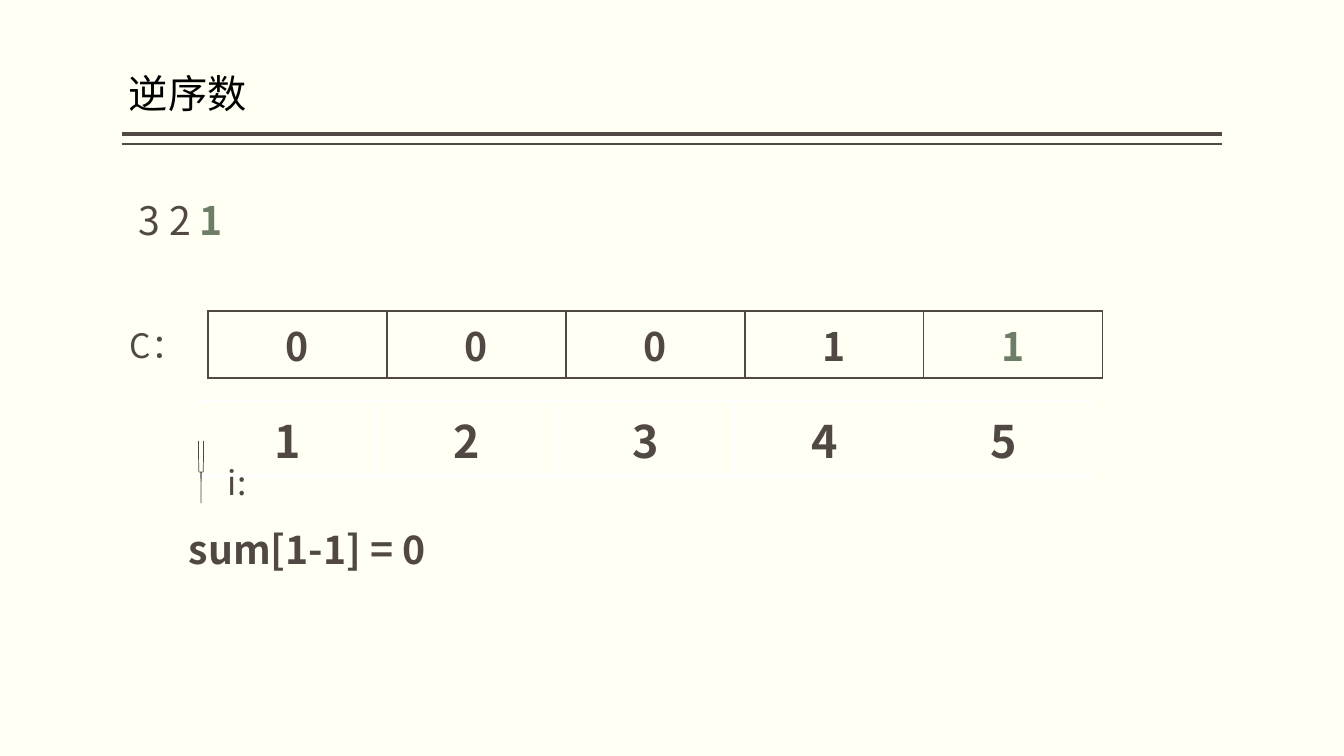
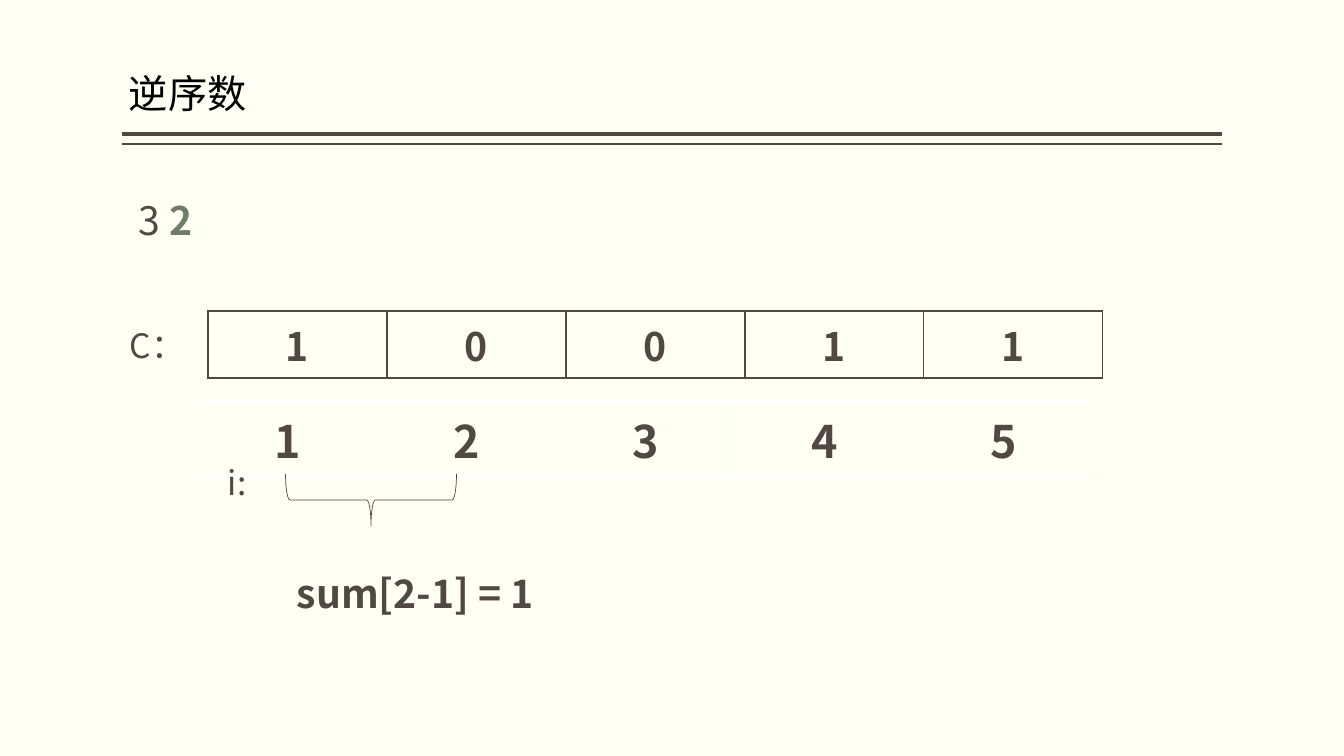
from lxml import etree
from pptx import Presentation
from pptx.dml.color import RGBColor
from pptx.enum.shapes import MSO_CONNECTOR, MSO_SHAPE
from pptx.enum.text import MSO_ANCHOR, MSO_AUTO_SIZE, PP_ALIGN
from pptx.oxml.ns import qn
from pptx.util import Pt

STRAIGHT = MSO_CONNECTOR.STRAIGHT
RIGHT_BRACE = MSO_SHAPE.RIGHT_BRACE
BOTTOM = MSO_ANCHOR.BOTTOM
FIT_SHAPE = MSO_AUTO_SIZE.SHAPE_TO_FIT_TEXT
LEFT, CENTER = PP_ALIGN.LEFT, PP_ALIGN.CENTER

SLIDE_WIDTH, SLIDE_HEIGHT = 1344, 756
EMU_PER_PX = 12192000 / SLIDE_WIDTH

FONT = "Noto Sans CJK SC"
PAPER, INK, ACCENT = "FFFFF3", "514843", "6D7D66"
BLACK, WHITE, BRACE_INK = "000000", "FFFFFF", "504641"

PLAIN = {"size": Pt(28), "bold": False}
STRONG = {"size": Pt(28), "bold": True}
LABEL = {"size": Pt(24), "bold": False}
INDEX = {"size": Pt(32), "bold": True}

# Border widths in points for the four sides of a cell
ARRAY_BORDERS = {"lnL": 1, "lnR": 1, "lnT": 1, "lnB": 1}
INDEX_BORDERS = {"lnL": 1, "lnR": 1, "lnT": 1, "lnB": 3}


def px(length):
    return round(length * EMU_PER_PX)


def rgb(value):
    return RGBColor.from_string(value)


class SlideBuilder:
    """Holds the shared style and the slide being drawn."""

    def __init__(self):
        self.deck = Presentation()
        self.deck.slide_width = px(SLIDE_WIDTH)
        self.deck.slide_height = px(SLIDE_HEIGHT)
        self.page = None

    def start_page(self, title):
        """Add a page with the shared background, title and double rule."""
        self.page = self.deck.slides.add_slide(self.deck.slide_layouts[6])
        background = self.page.background.fill
        background.solid()
        background.fore_color.rgb = rgb(PAPER)
        self.rule(134, 3)
        self.rule(144, 1)
        frame = self.text((129, 60, 991, 62), [(title, PLAIN, BLACK)])
        settings = {"auto_size": MSO_AUTO_SIZE.NONE, "vertical_anchor": BOTTOM,
                    "margin_left": 0, "margin_right": 0}
        for name, value in settings.items():
            setattr(frame, name, value)
        frame.paragraphs[0].line_spacing = 0.9

    def rule(self, top, weight):
        line = self.page.shapes.add_connector(
            STRAIGHT, px(122), px(top), px(1222), px(top))
        line.line.color.rgb = rgb(INK)
        line.line.width = Pt(weight)
        etree.SubElement(line._element.spPr, qn("a:effectLst"))

    def span(self, para, words, style, color):
        span = para.add_run()
        span.text = words
        for name, value in {"name": FONT, **style}.items():
            setattr(span.font, name, value)
        span.font.color.rgb = rgb(color)
        east_asian = etree.SubElement(span._r.get_or_add_rPr(), qn("a:ea"))
        east_asian.set("typeface", FONT)

    def text(self, place, spans, align=LEFT):
        """Add a text box from (words, style, color) spans."""
        box = self.page.shapes.add_textbox(*map(px, place))
        frame = box.text_frame
        frame.word_wrap = True
        frame.auto_size = FIT_SHAPE
        para = frame.paragraphs[0]
        para.alignment = align
        for words, style, color in spans:
            self.span(para, words, style, color)
        return frame

    def border(self, cell, sides, color):
        properties = cell._tc.get_or_add_tcPr()
        for position, (side, weight) in enumerate(sides.items()):
            line = etree.Element(qn(f"a:{side}"), w=str(Pt(weight)))
            fill = etree.SubElement(line, qn("a:solidFill"))
            etree.SubElement(fill, qn("a:srgbClr"), val=color)
            properties.insert(position, line)

    def row(self, left, top, values, style, sides, border_color, accent=None):
        """Add a one-row table; accent is the column drawn in the accent colour."""
        table = self.page.shapes.add_table(
            1, len(values), px(left), px(top), px(179 * len(values)), px(67)).table
        table.first_row = False
        table.horz_banding = False
        for column, value in enumerate(values):
            cell = table.cell(0, column)
            cell.fill.background()
            self.border(cell, sides, border_color)
            para = cell.text_frame.paragraphs[0]
            para.alignment = CENTER
            self.span(para, value, style, ACCENT if column == accent else INK)

    def brace(self, center_x, center_y, span, depth):
        """Add a brace that opens upward, with its tip pointing down."""
        brace = self.page.shapes.add_shape(
            RIGHT_BRACE, px(center_x - depth / 2), px(center_y - span / 2),
            px(depth), px(span))
        brace.rotation = 90
        brace.shadow.inherit = False
        brace.fill.background()
        brace.line.color.rgb = rgb(BRACE_INK)
        brace.line.width = Pt(0.5)

    def inversion_step(self, waiting, current, counts, brace, total, total_place,
                       accent=None):
        self.start_page("逆序数")
        self.row(208, 311, counts, STRONG, ARRAY_BORDERS, INK, accent)
        self.row(198, 401, "12345", INDEX, INDEX_BORDERS, WHITE)
        self.text((129, 191, 906, 57),
                  [(waiting, PLAIN, INK), (current, STRONG, ACCENT)])
        self.text((120, 320, 101, 50), [("C：", LABEL, INK)])
        self.text((218, 457, 84, 50), [("i:", LABEL, INK)])
        self.brace(*brace)
        self.text(total_place, [(total, STRONG, INK)], CENTER)


def main():
    builder = SlideBuilder()
    builder.inversion_step("3 2 ", "1", "00011", (201, 472, 5, 62),
                           "sum[1-1] = 0", (111, 520, 392, 57), accent=4)
    builder.inversion_step("3 ", "2", "10011", (371, 500, 171, 52),
                           "sum[2-1] = 1", (220, 564, 390, 57))
    builder.deck.save("out.pptx")


if __name__ == "__main__":
    main()
